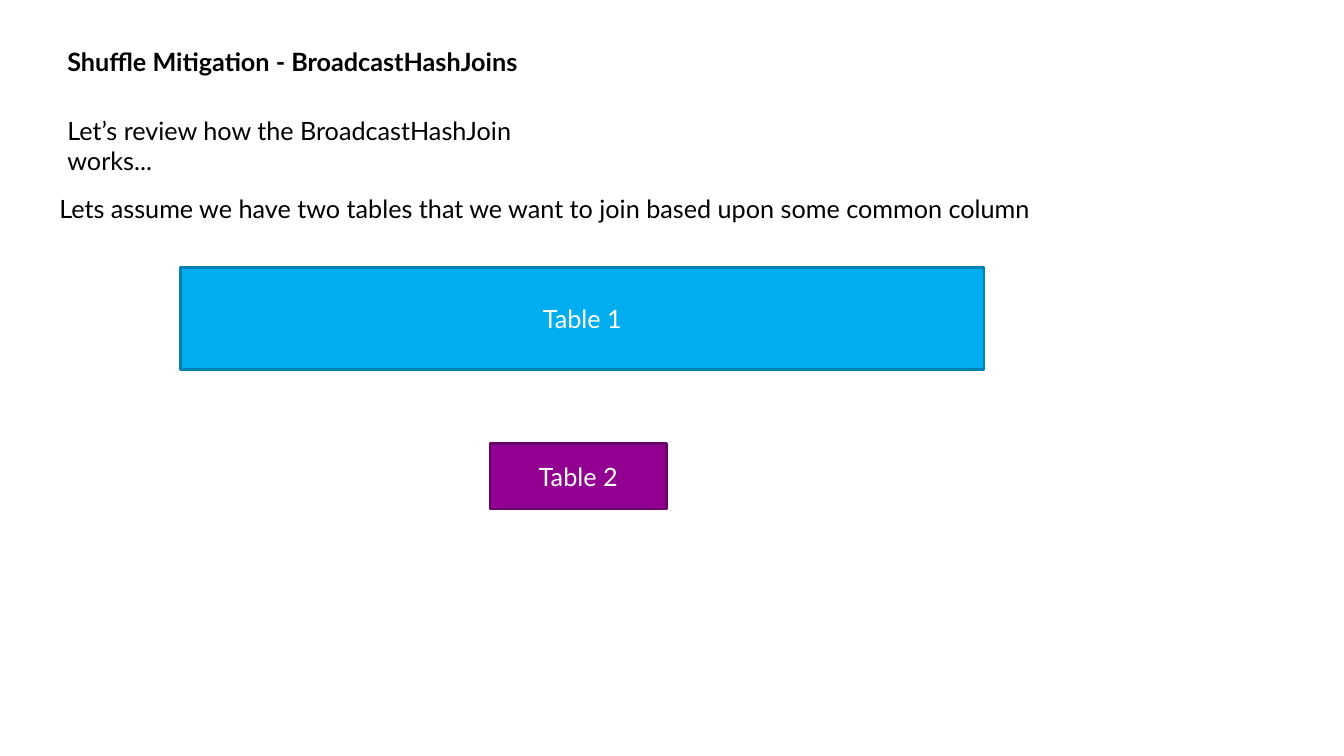
"""Build the slide that introduces the BroadcastHashJoin with two tables."""
from dataclasses import dataclass

from pptx import Presentation
from pptx.dml.color import RGBColor
from pptx.enum.shapes import MSO_SHAPE
from pptx.enum.text import MSO_ANCHOR, PP_ALIGN
from pptx.slide import Slide
from pptx.text.text import TextFrame
from pptx.util import Pt

EMU_PER_PX = 9144
FONT_NAME = "Lato"
FONT_SIZE = Pt(18)
LINE_WIDTH = Pt(2)
RECTANGLE = MSO_SHAPE.RECTANGLE
MIDDLE = MSO_ANCHOR.MIDDLE
CENTER = PP_ALIGN.CENTER

COLORS = {
    "text": "000000",
    "label": "FFFFFF",
    "table_1": "00AEEF",
    "table_1_line": "0081B1",
    "table_2": "910091",
    "table_2_line": "6B006B",
}


@dataclass(frozen=True)
class Box:
    left: int
    top: int
    width: int
    height: int


@dataclass(frozen=True)
class TextLine:
    box: Box
    text: str
    bold: bool = False
    wrap: bool = False


@dataclass(frozen=True)
class TableBlock:
    box: Box
    text: str
    color: str


TEXT_LINES = [
    TextLine(Box(57, 41, 497, 40), "Shuffle Mitigation - BroadcastHashJoins", bold=True),
    TextLine(Box(57, 109, 540, 40), "Let’s review how the BroadcastHashJoin works...", wrap=True),
    TextLine(
        Box(49, 187, 1000, 40),
        "Lets assume we have two tables that we want to join based upon some common column",
    ),
]

TABLE_BLOCKS = [
    TableBlock(Box(179, 265, 797, 102), "Table 1", "table_1"),
    TableBlock(Box(486, 440, 175, 65), "Table 2", "table_2"),
]


def px(length: int) -> int:
    return length * EMU_PER_PX


def place(box: Box) -> tuple[int, int, int, int]:
    return px(box.left), px(box.top), px(box.width), px(box.height)


def rgb(name: str) -> RGBColor:
    return RGBColor.from_string(COLORS[name])


def write(text_frame: TextFrame, text: str, color: str, bold: bool = False) -> None:
    text_frame.text = text
    font = text_frame.paragraphs[0].runs[0].font
    font.name = FONT_NAME
    font.size = FONT_SIZE
    font.bold = bold
    font.color.rgb = rgb(color)


def draw_text_line(slide: Slide, line: TextLine) -> None:
    text_frame = slide.shapes.add_textbox(*place(line.box)).text_frame
    text_frame.word_wrap = line.wrap
    write(text_frame, line.text, "text", line.bold)


def draw_table_block(slide: Slide, block: TableBlock) -> None:
    shape = slide.shapes.add_shape(RECTANGLE, *place(block.box))
    shape.shadow.inherit = False
    shape.fill.solid()
    shape.fill.fore_color.rgb = rgb(block.color)
    shape.line.color.rgb = rgb(f"{block.color}_line")
    shape.line.width = LINE_WIDTH
    write(shape.text_frame, block.text, "label")
    shape.text_frame.vertical_anchor = MIDDLE
    shape.text_frame.paragraphs[0].alignment = CENTER


def main() -> None:
    presentation = Presentation()
    presentation.slide_width = px(1333)
    presentation.slide_height = px(750)
    slide = presentation.slides.add_slide(presentation.slide_layouts[6])
    for line in TEXT_LINES:
        draw_text_line(slide, line)
    for block in TABLE_BLOCKS:
        draw_table_block(slide, block)
    presentation.save("out.pptx")


if __name__ == "__main__":
    main()
